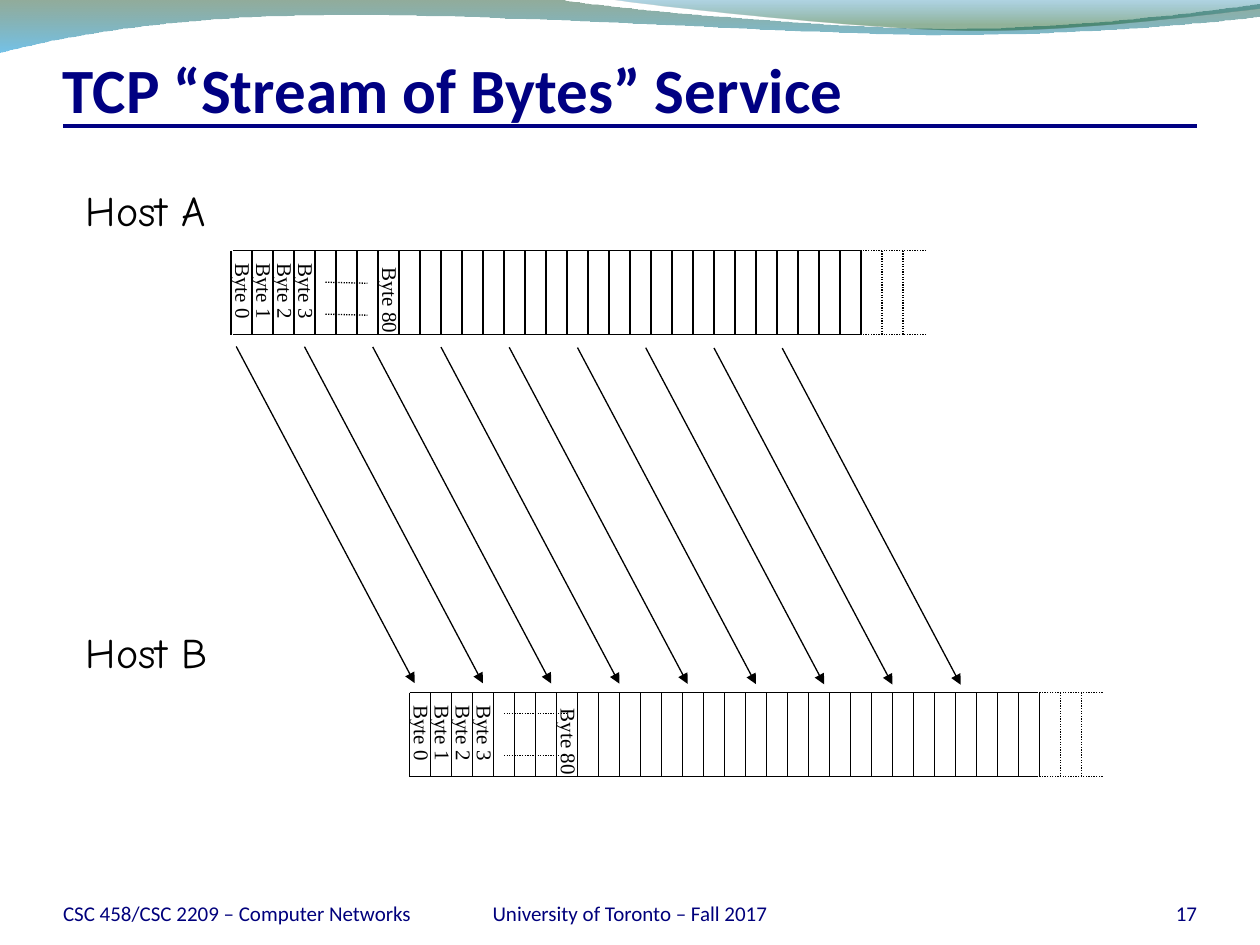
from dataclasses import dataclass

from lxml.etree import SubElement as Sub
from pptx import Presentation
from pptx.dml.color import RGBColor as RGB
from pptx.enum.dml import MSO_LINE as Dash
from pptx.enum.shapes import MSO_CONNECTOR as Conn
from pptx.enum.text import MSO_ANCHOR as Anchor
from pptx.enum.text import MSO_AUTO_SIZE as Fit
from pptx.enum.text import PP_ALIGN as Align
from pptx.oxml.ns import qn
from pptx.util import Inches, Pt

COLS, ROWS = 60, 45
UNIT = Inches(10) / COLS
CELLS, TAIL, LABEL_TURN = 30, 3, 89.8


@dataclass(frozen=True)
class Theme:
    title: tuple = ("Calibri", 36, "000082", True)
    footer: tuple = ("Calibri", 12, "00007C", False)
    host: tuple = ("Comic Neue", 24, "000000", False)
    byte: tuple = ("Times New Roman", 12, "000000", False)
    ink: str = "000000"
    rule: str = "000082"
    thin: float = 0.75
    thick: float = 2.25
    low_wave: tuple = ((0, "0F461E", 45), (100, "0090D6", 55))
    high_wave: tuple = ((0, "0076AF", 30), (80, "0D5821", 45))


THEME = Theme()


def grid(*values):
    return [round(v * UNIT) for v in values]


def apply(obj, values):
    for name, value in values.items():
        setattr(obj, name, value)


def add_text(s, text, box, style, frame=None, align=Align.LEFT, turn=0):
    font, size, color, bold = style
    sp = s.shapes.add_textbox(*grid(*box))
    sp.rotation = turn
    tf = sp.text_frame
    apply(tf, frame or {"word_wrap": False, "auto_size": Fit.SHAPE_TO_FIT_TEXT})
    p = tf.paragraphs[0]
    p.alignment = align
    r = p.add_run()
    r.text = text
    apply(r.font, {"name": font, "size": Pt(size), "bold": bold})
    r.font.color.rgb = RGB.from_string(color)


def add_line(s, x1, y1, x2, y2, color=THEME.ink, width=THEME.thin, dotted=False, arrow=False):
    sp = s.shapes.add_connector(Conn.STRAIGHT, *grid(x1, y1, x2, y2))
    sp.line.color.rgb = RGB.from_string(color)
    sp.line.width = Pt(width)
    if dotted:
        sp.line.dash_style = Dash.ROUND_DOT
    if arrow:
        Sub(sp.line._get_or_add_ln(), qn("a:tailEnd"), type="triangle")
    Sub(sp._element.spPr, qn("a:effectLst"))


def bend(sp, segments):
    for ln, seg in zip(list(sp._element.iter(qn("a:lnTo"))), segments):
        if len(seg) == 3:
            ln.tag = qn("a:cubicBezTo")
            end = ln[0]
            for x, y in seg[:2]:
                end.addprevious(end.makeelement(qn("a:pt"), {
                    "x": str(Inches(x) - sp.left), "y": str(Inches(y) - sp.top)}))


def add_wave(s, start, segments, stops):
    anchors = [(Inches(x), Inches(y)) for x, y in (start, *(seg[-1] for seg in segments))]
    fb = s.shapes.build_freeform(*anchors[0], scale=1.0)
    fb.add_line_segments(anchors[1:], close=True)
    sp = fb.convert_to_shape()
    bend(sp, segments)
    sp.shadow.inherit = False
    sp.line.fill.background()
    sp.fill.gradient()
    fill = sp._element.spPr.find(qn("a:gradFill"))
    for child in list(fill):
        fill.remove(child)
    gs_list = Sub(fill, qn("a:gsLst"))
    for pos, color, opacity in stops:
        gs = Sub(gs_list, qn("a:gs"), pos=str(pos * 1000))
        clr = Sub(gs, qn("a:srgbClr"), val=color)
        Sub(clr, qn("a:alpha"), val=str(opacity * 1000))
    Sub(fill, qn("a:lin"), ang="5400000", scaled="0")


def add_waves(s):
    add_wave(s, (0, -0.01), [
        [(4.4, -0.01)],
        [(4.76, 0.06), (6.64, 0.23), (7.58, 0.23)],
        [(8.53, 0.23), (9.58, 0.09), (10, 0.03)],
        [(10.01, 0.13)],
        [(9.83, 0.16), (8.7, 0.28), (7.46, 0.28)],
        [(6.22, 0.27), (3.82, 0.1), (2.57, 0.12)],
        [(1.29, 0.13), (0.46, 0.3), (-0.01, 0.42)],
    ], THEME.low_wave)
    add_wave(s, (4.79, -0.01), [
        [(5.09, 0.04), (6.82, 0.23), (7.69, 0.24)],
        [(8.56, 0.25), (9.61, 0.11), (10, 0.07)],
        [(10, -0.01)],
    ], THEME.high_wave)


def add_byte_label(s, number, center, middle, width):
    height = 1.8
    box = (center - width / 2, middle - height / 2, width, height)
    add_text(s, f"Byte {number}", box, THEME.byte, turn=LABEL_TURN)


def add_stream(s, left, top, dots, inset=0, tilt=0):
    bottom, start = top + 4, left + inset
    end = start + CELLS - 0.05
    for y in (top, bottom):
        add_line(s, start, y, end, y)
        add_line(s, start + CELLS + TAIL, y, end, y, dotted=True)
    for i in range(CELLS + TAIL):
        add_line(s, left + i, top, left + i, bottom, dotted=i > CELLS)
    for i in range(4):
        add_byte_label(s, i, left + i + 0.6, top + 1.93, 3.84)
    add_byte_label(s, 80, left + 7.6, top + 2.38, 4.38)
    first, last, *levels = dots
    for level in levels:
        add_line(s, left + first, top + level, left + last, top + level + tilt, dotted=True)


def add_transfers(s, x, y, count=9, gap=3.25):
    for i in range(count):
        start, drop = x + i * gap, y + i * 0.01
        add_line(s, start, drop, start + 8.5, drop + 16.03, arrow=True)


def add_frame_text(s):
    frame = {"word_wrap": True, "vertical_anchor": Anchor.BOTTOM, "margin_left": 0,
             "margin_top": 0, "margin_right": 0, "margin_bottom": 0}
    for text, left, width, align in (
        ("CSC 458/CSC 2209 – Computer Networks", 3, 17, Align.LEFT),
        ("17", 52, 5, Align.RIGHT),
        ("University of Toronto – Fall 2017", 20.5, 19, Align.CENTER),
    ):
        add_text(s, text, (left, 41.7, width, 2.4), THEME.footer, frame, align)
    add_text(s, "TCP “Stream of Bytes” Service", (3, 2, 54, 4), THEME.title,
             {**frame, "margin_top": Inches(0.05)})


def main():
    prs = Presentation()
    prs.slide_width, prs.slide_height = grid(COLS, ROWS)
    s = prs.slides.add_slide(prs.slide_layouts[6])
    add_waves(s)
    add_line(s, 3, 6, 57, 6, THEME.rule, THEME.thick)
    add_frame_text(s)
    add_stream(s, 11, 11.94, (4.5, 6.5, 1.5, 3.02), inset=0.1, tilt=0.05)
    add_stream(s, 19.5, 32.98, (4.5, 7.5, 1, 3))
    for name, top in (("Host A", 8.5), ("Host B", 29.55)):
        add_text(s, name, (3.5, top, 7.7, 3.4), THEME.host)
    add_transfers(s, 11.25, 16.5)
    prs.save("out.pptx")


if __name__ == "__main__":
    main()
